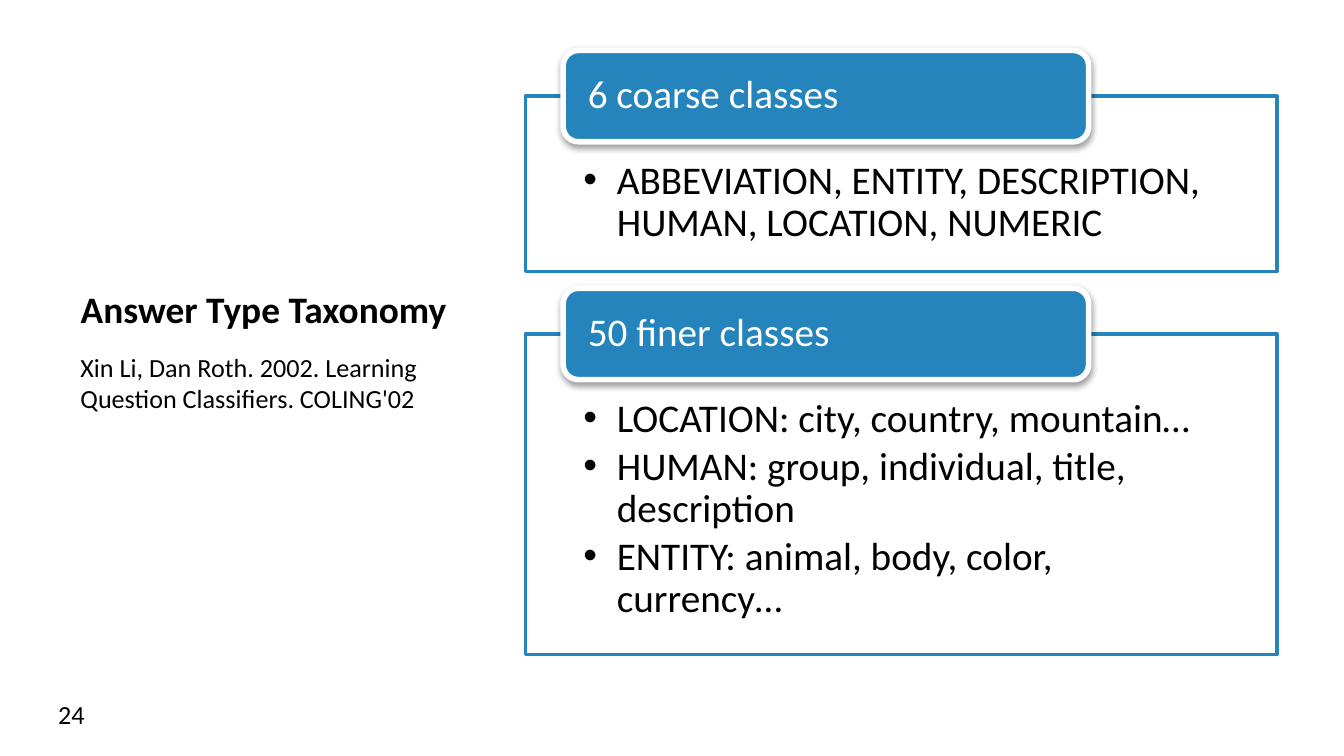
from dataclasses import dataclass

from lxml import etree
from pptx import Presentation
from pptx import util as u
from pptx.dml.color import RGBColor
from pptx.enum import shapes, text
from pptx.oxml import ns, parse_xml

PX = u.Inches(1) // 200
COLORS = {"ink": "000000", "paper": "FFFFFF", "accent": "2584BB"}
TAB_LEFT, TAB_WIDTH, TAB_HEIGHT, TAB_RISE = 838, 782, 136, 68
PANEL_LEFT, PANEL_WIDTH = 782, 1118
SHADOW = (
    f'<a:effectLst {ns.nsdecls("a")}><a:outerShdw blurRad="40000" dist="20000" '
    f'dir="5400000" rotWithShape="0"><a:srgbClr val="{COLORS["ink"]}">'
    '<a:alpha val="38000"/></a:srgbClr></a:outerShdw></a:effectLst>'
)


@dataclass(frozen=True)
class Panel:
    heading: str
    items: tuple[str, ...]
    top: int
    height: int


PANELS = (
    Panel("6 coarse classes",
          ("ABBEVIATION, ENTITY, DESCRIPTION, HUMAN, LOCATION, NUMERIC",), 143, 261),
    Panel("50 finer classes",
          ("LOCATION: city, country, mountain…",
           "HUMAN: group, individual, title, description",
           "ENTITY: animal, body, color, currency…"), 497, 477),
)


def px(length: int) -> u.Emu:
    return u.Emu(length * PX)


def rgb(name: str) -> RGBColor:
    return RGBColor.from_string(COLORS[name])


def apply(target, values: dict) -> None:
    for key, value in values.items():
        setattr(target, key, value)


def write(shape, lines: tuple[str, ...], size: int, color: str = "ink",
          anchor=text.MSO_ANCHOR.TOP, insets: tuple[int, int, int, int] = (20, 10, 20, 10),
          bold: bool = False, bulleted: bool = False, spacing: dict | None = None) -> None:
    frame = shape.text_frame
    sides = ("margin_left", "margin_top", "margin_right", "margin_bottom")
    apply(frame, {"word_wrap": True, "auto_size": text.MSO_AUTO_SIZE.NONE,
                  "vertical_anchor": anchor, **dict(zip(sides, map(px, insets)))})
    for index, line in enumerate(lines):
        paragraph = frame.paragraphs[0] if index == 0 else frame.add_paragraph()
        run = paragraph.add_run()
        run.text = line
        apply(paragraph, {"alignment": text.PP_ALIGN.LEFT, **(spacing or {})})
        if bulleted:
            properties = paragraph._p.get_or_add_pPr()
            properties.set("marL", str(px(50)))
            properties.set("indent", str(-px(50)))
            etree.SubElement(properties, ns.qn("a:buFont"), typeface="Arial")
            etree.SubElement(properties, ns.qn("a:buChar"), char="•")
        apply(run.font, {"name": "Calibri", "size": u.Pt(size), "bold": bold})
        run.font.color.rgb = rgb(color)


def add_box(slide, kind, bounds: tuple[int, int, int, int], fill: str,
            border: str, weight: int):
    box = slide.shapes.add_shape(kind, *map(px, bounds))
    box.shadow.inherit = False
    box.fill.solid()
    box.fill.fore_color.rgb = rgb(fill)
    box.line.color.rgb = rgb(border)
    box.line.width = u.Pt(weight)
    return box


def add_panel(slide, panel: Panel) -> None:
    body = add_box(slide, shapes.MSO_SHAPE.RECTANGLE,
                   (PANEL_LEFT, panel.top, PANEL_WIDTH, panel.height), "paper", "accent", 2)
    fill_color = body._element.spPr.find(ns.qn("a:solidFill"))[0]
    etree.SubElement(fill_color, ns.qn("a:alpha"), val="90000")
    write(body, panel.items, 21, insets=(86, 96, 86, 32), bulleted=True,
          spacing={"line_spacing": 0.9, "space_after": u.Pt(3)})

    tab = add_box(slide, shapes.MSO_SHAPE.ROUNDED_RECTANGLE,
                  (TAB_LEFT, panel.top - TAB_RISE, TAB_WIDTH, TAB_HEIGHT),
                  "accent", "paper", 3)
    properties = tab._element.spPr
    properties.replace(properties.find(ns.qn("a:effectLst")), parse_xml(SHADOW))
    write(tab, (panel.heading,), 21, "paper", text.MSO_ANCHOR.MIDDLE,
          insets=(30, 0, 30, 0), spacing={"line_spacing": 0.9})


def add_label(slide, bounds: tuple[int, int, int, int], wording: str) -> None:
    write(slide.shapes.add_textbox(*map(px, bounds)), (wording,), 14)


def main() -> None:
    deck = Presentation()
    apply(deck, {"slide_width": px(2000), "slide_height": px(1125)})
    slide = deck.slides.add_slide(deck.slide_layouts[5])
    title = slide.shapes.title
    apply(title, {"left": px(100), "top": px(313), "width": px(658), "height": px(190)})
    write(title, ("Answer Type Taxonomy",), 20, anchor=text.MSO_ANCHOR.BOTTOM, bold=True)
    add_label(slide, (100, 513, 658, 492),
              "Xin Li, Dan Roth. 2002. Learning Question Classifiers. COLING'02")
    add_label(slide, (67, 1030, 434, 76), "24")
    for panel in PANELS:
        add_panel(slide, panel)
    deck.save("out.pptx")


if __name__ == "__main__":
    main()
